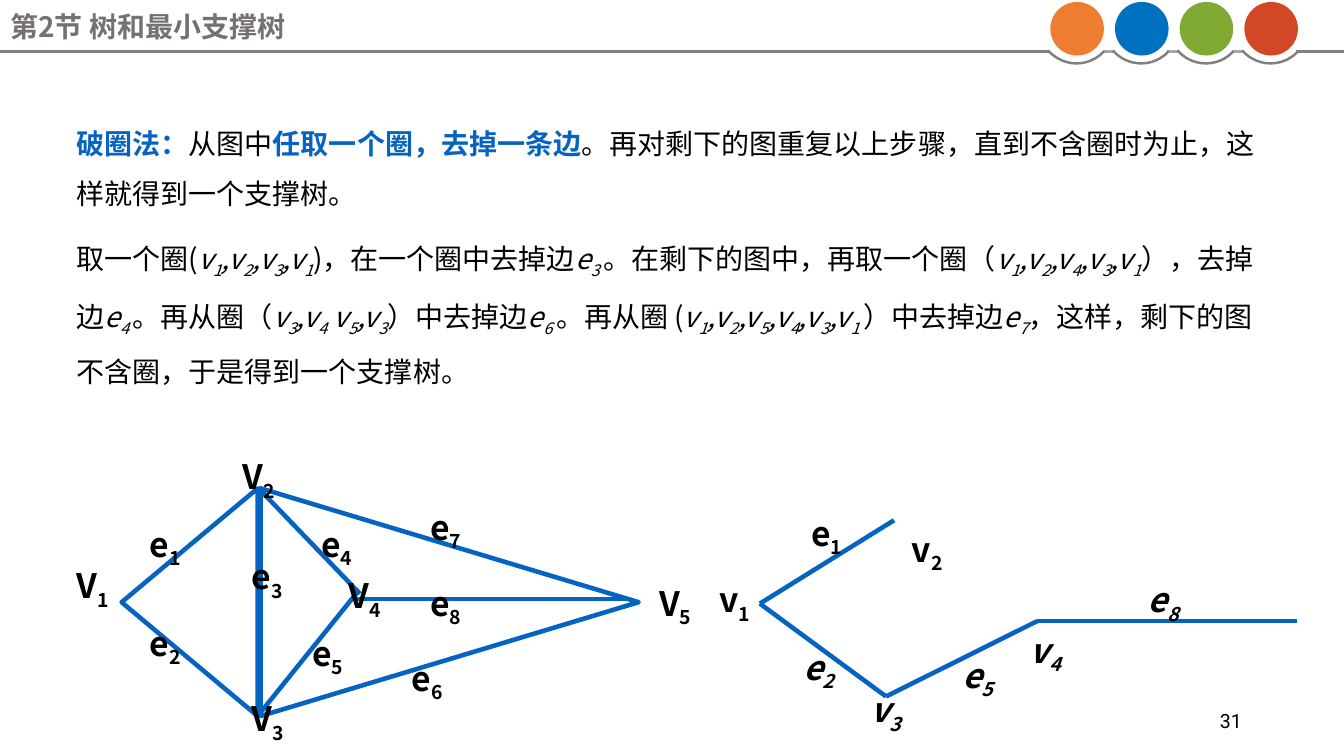
from itertools import groupby

from lxml import etree
from pptx import Presentation
from pptx.dml.color import RGBColor
from pptx.enum.shapes import MSO_CONNECTOR as Connector, MSO_SHAPE as Shape
from pptx.enum.text import MSO_ANCHOR as Anchor, MSO_AUTO_SIZE as AutoSize, PP_ALIGN as Align
from pptx.oxml.ns import qn
from pptx.util import Cm, Pt

COLORS = {
    "edge": "0563C1",
    "text": "000000",
    "title": "767171",
    "rule": "808080",
    "gap": "A6A6A6",
    "orange": "ED7D31",
    "blue": "0070C0",
    "green": "80A933",
    "red": "D24726",
}
DIGITS = "0123456789 "


class SlideBuilder:
    font_name = "Noto Sans CJK SC"
    edge_width = 3.25
    rule_width = 1.77

    def __init__(self, slide):
        self.slide = slide

    def color(self, name):
        return RGBColor.from_string(COLORS[name])

    def add_run(self, paragraph, text, style, subscript=False):
        run = paragraph.add_run()
        run.text = text
        values = {"name": self.font_name, "color": "text", "bold": False, **style}
        run.font.color.rgb = self.color(values.pop("color"))
        for name, value in values.items():
            setattr(run.font, name, value)
        properties = run._r.get_or_add_rPr()
        east_asian = etree.SubElement(properties, qn("a:ea"))
        east_asian.set("typeface", run.font.name)
        if subscript:
            properties.set("baseline", "-25000")

    def add_spans(self, paragraph, text, style, marked=None):
        for index, span in enumerate(text.split("|")):
            if index % 2 == 0:
                if span:
                    self.add_run(paragraph, span, style)
                continue
            for subscript, letters in groupby(span, lambda letter: letter in DIGITS):
                self.add_run(paragraph, "".join(letters), {**style, **(marked or {})}, subscript)

    def text(self, box, text, style, marked=None, layout=None, spacing=1.0, align=Align.LEFT):
        shape = self.slide.shapes.add_textbox(*map(Cm, box))
        values = {"word_wrap": True, "vertical_anchor": Anchor.TOP, **(layout or {})}
        for name, value in values.items():
            setattr(shape.text_frame, name, value)
        paragraph = shape.text_frame.paragraphs[0]
        paragraph.line_spacing = spacing
        paragraph.alignment = align
        self.add_spans(paragraph, text, style, marked)

    def title(self, box, text, style):
        shape = self.slide.shapes.title
        for name, value in zip(("left", "top", "width", "height"), box):
            setattr(shape, name, Cm(value))
        layout = {
            "margin_top": 0,
            "margin_bottom": 0,
            "vertical_anchor": Anchor.TOP,
            "auto_size": AutoSize.NONE,
        }
        for name, value in layout.items():
            setattr(shape.text_frame, name, value)
        paragraph = shape.text_frame.paragraphs[0]
        paragraph.alignment = Align.LEFT
        self.add_spans(paragraph, text, style)

    def label(self, name, left, top, width=1.4, italic=False):
        layout = {"word_wrap": width > 1.5, "auto_size": AutoSize.SHAPE_TO_FIT_TEXT}
        style = {"size": Pt(24), "bold": True, "italic": italic}
        self.text((left, top, width, 1.12), f"|{name}|", style, layout=layout, spacing=0.8)

    def shape(self, kind, box, fill=None, line=None, width=0, rotation=0, adjustments=()):
        shape = self.slide.shapes.add_shape(kind, *map(Cm, box))
        shape.shadow.inherit = False
        shape.rotation = rotation
        for index, value in enumerate(adjustments):
            shape.adjustments[index] = value
        if fill:
            shape.fill.solid()
            shape.fill.fore_color.rgb = self.color(fill)
        else:
            shape.fill.background()
        if line:
            shape.line.color.rgb = self.color(line)
            shape.line.width = Pt(width)
        else:
            shape.line.fill.background()

    def line(self, start, end, color="edge", width=edge_width):
        connector = self.slide.shapes.add_connector(
            Connector.STRAIGHT, *map(Cm, (*start, *end))
        )
        connector.line.color.rgb = self.color(color)
        connector.line.width = Pt(width)
        etree.SubElement(connector._element.spPr, qn("a:effectLst"))

    def header(self):
        rule_top, step = 1.3, 1.63
        for left, right in ((0, 26.44), (32.66, 33.87)):
            self.line((left, rule_top), (right, rule_top), "rule", self.rule_width)
        for index, fill in enumerate(("orange", "blue", "green", "red")):
            offset = index * step
            if index < 3:
                self.line((27.79 + offset, rule_top), (28.07 + offset, rule_top),
                          "gap", self.rule_width)
            self.shape(Shape.ARC, (26.19 + offset, -0.28, 1.88, 1.88), line="rule",
                       width=self.rule_width, adjustments=(25.38, 83.6))
            self.shape(Shape.OVAL, (26.47 + offset, 0.05, 1.35, 1.35), fill=fill)
        self.title((0, 0.25, 26, 0.91), "第2节 树和最小支撑树",
                   {"size": Pt(20), "bold": True, "color": "title"})

    def explanation(self):
        style = {"size": Pt(20)}
        self.text(
            (1.68, 2.64, 30.45, 3.3),
            "|破圈法：|从图中|任取一个圈，去掉一条边|。"
            "再对剩下的图重复以上步骤，直到不含圈时为止，这样就得到一个支撑树。",
            style, {"bold": True, "color": "edge"}, spacing=1.5,
        )
        self.text(
            (1.68, 5.49, 30.45, 5.16),
            "取一个圈(|v1,v2,v3,v1|)，在一个圈中去掉边|e3 |。"
            "在剩下的图中，再取一个圈（|v1,v2,v4,v3,v1|），去掉边|e4 |。"
            "再从圈（|v3,v4| |v5,v3|）中去掉边|e6 |。"
            "再从圈 (|v1,v2,v5,v4,v3,v1 |）中去掉边|e7|，"
            "这样，剩下的图不含圈，于是得到一个支撑树。",
            style, {"italic": True}, spacing=1.5,
        )

    def graph(self):
        for box, rotation in (((1.91, 13.46, 5.74, 3.43), 270), ((8.46, 10.41, 5.74, 9.53), 90)):
            self.shape(Shape.ISOSCELES_TRIANGLE, box, line="edge",
                       width=self.edge_width, rotation=rotation)
        self.line((6.55, 12.34), (9.07, 14.96))
        self.line((8.99, 14.94), (6.48, 18.06))
        self.line((8.99, 15.09), (15.88, 15.09))
        for label in (
            ("V1", 1.68, 14.22), ("V2", 5.87, 11.48), ("V3", 6.1, 17.58),
            ("V4", 8.53, 14.48), ("V5", 16.36, 14.66),
            ("e1", 3.53, 13.18), ("e2", 3.53, 15.67), ("e3", 6.1, 14),
            ("e4", 7.85, 13.18), ("e5", 7.62, 15.93), ("e6", 10.13, 16.56, 2.51),
            ("e7", 10.59, 12.75, 2.51), ("e8", 10.59, 14.66, 2.51),
        ):
            self.label(*label)

    def spanning_tree(self):
        vertices = ((22.53, 13.11), (19.15, 15.21), (22.33, 17.55), (26.14, 15.65), (32.69, 15.65))
        for start, end in zip(vertices, vertices[1:]):
            self.line(start, end)
        for label in (("v1", 17.88, 14.58), ("v2", 22.73, 13.31), ("e1", 20.19, 12.9)):
            self.label(*label)
        for label in (
            ("v3", 21.69, 17.35, 1.7), ("v4", 25.7, 15.85), ("e2", 19.99, 16.28, 1.7),
            ("e5", 24, 16.48), ("e8", 28.68, 14.58, 1.9),
        ):
            self.label(*label, italic=True)

    def page_number(self, number):
        self.text((23.93, 17.65, 7.62, 1.02), number, {"size": Pt(14), "name": "Roboto"},
                  layout={"vertical_anchor": Anchor.MIDDLE}, align=Align.RIGHT)


def main():
    presentation = Presentation()
    presentation.slide_width = Cm(33.87)
    presentation.slide_height = Cm(19.05)
    builder = SlideBuilder(presentation.slides.add_slide(presentation.slide_layouts[5]))
    builder.header()
    builder.explanation()
    builder.graph()
    builder.spanning_tree()
    builder.page_number("31")
    presentation.save("out.pptx")


if __name__ == "__main__":
    main()
